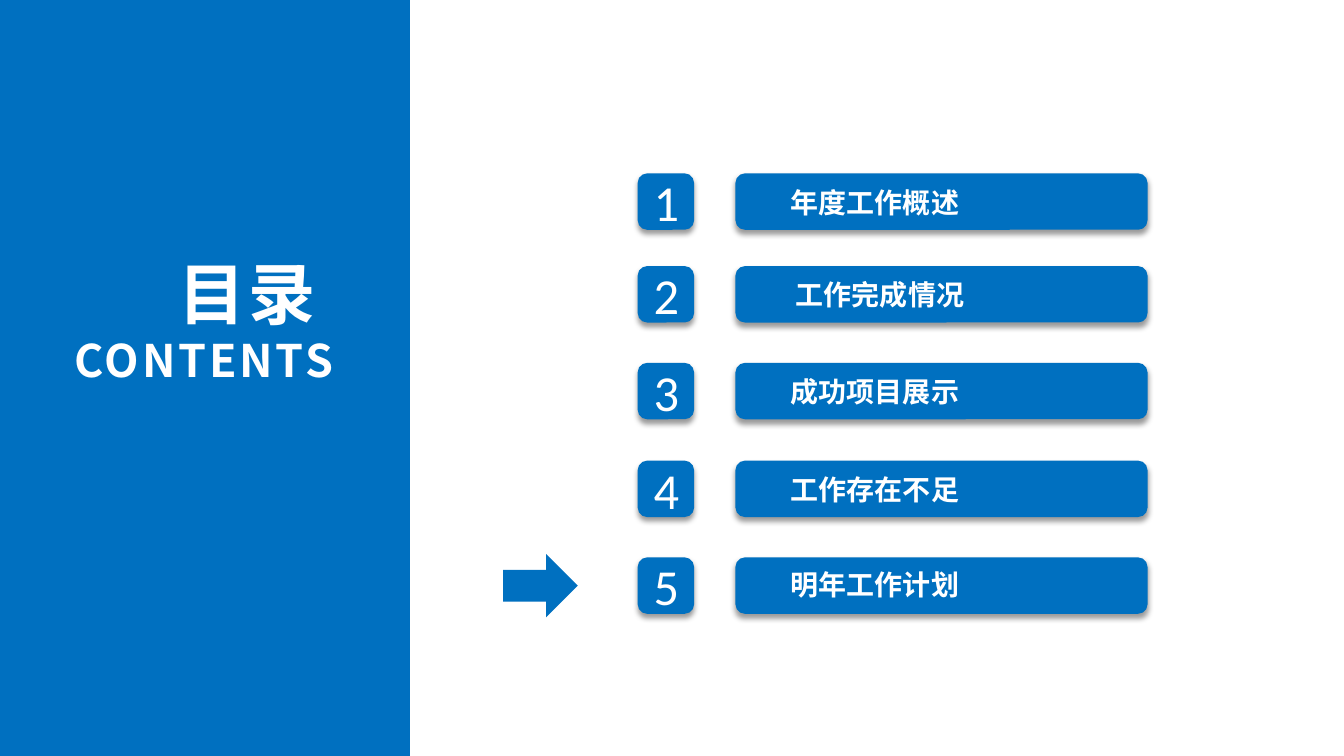
from lxml import etree
from pptx import Presentation
from pptx.dml.color import RGBColor
from pptx.enum.shapes import MSO_SHAPE as Shape
from pptx.enum.text import MSO_ANCHOR as Anchor, PP_ALIGN as Align
from pptx.oxml.ns import qn
from pptx.util import Inches, Pt

BLUE, WHITE, BLACK = "0070C0", "FFFFFF", "000000"
LATIN, CJK = "Calibri", "Noto Sans CJK SC"
WIDTH, HEIGHT = 13.34, 7.5

# heading text, size
HEADING = [("目录 ", 48), ("CONTENTS", 32)]
# row top, label, label offset from its bar (x, y)
CHAPTERS = [
    (1.72, "年度工作概述", 0.42, 0.05),
    (2.64, "工作完成情况", 0.47, 0.04),
    (3.60, "成功项目展示", 0.42, 0.05),
    (4.57, "工作存在不足", 0.42, 0.05),
    (5.53, "明年工作计划", 0.42, 0.03),
]
NUMBER_LEFT, BAR_LEFT = 6.33, 7.3
ROW_HEIGHT, BAR_WIDTH = 0.56, 4.09
LABEL_WIDTH, LABEL_HEIGHT = 2.95, 0.47


def color(value):
    return RGBColor.from_string(value)


def add_block(shapes, kind, left, top, width, height):
    block = shapes.add_shape(kind, *map(Inches, (left, top, width, height)))
    block.shadow.inherit = False
    block.fill.solid()
    block.fill.fore_color.rgb = color(BLUE)
    block.line.fill.background()
    return block


def add_raised_block(shapes, left, top, width, height):
    """Rounded block with a soft shadow below it."""
    block = add_block(shapes, Shape.ROUNDED_RECTANGLE, left, top, width, height)
    effects = block._element.spPr.find(qn("a:effectLst"))
    shadow = etree.SubElement(effects, qn("a:outerShdw"), blurRad=str(Pt(4)),
                              dist=str(Pt(3)), dir="5400000", algn="t", rotWithShape="0")
    tint = etree.SubElement(shadow, qn("a:srgbClr"), val=BLACK)
    etree.SubElement(tint, qn("a:alpha"), val="40000")
    return block


def set_margins(frame):
    frame.word_wrap = True
    frame.margin_left = frame.margin_right = Inches(0.13)
    frame.margin_top = frame.margin_bottom = Inches(0.07)


def add_text_box(shapes, left, top, width, height):
    box = shapes.add_textbox(*map(Inches, (left, top, width, height)))
    set_margins(box.text_frame)
    return box.text_frame


def write(para, text, size, face=CJK, bold=True, align=Align.LEFT, spacing=0):
    para.text = text
    para.alignment = align
    span = para.runs[0]
    span.font.size, span.font.bold, span.font.name = Pt(size), bold, face
    span.font.color.rgb = color(WHITE)
    props = span._r.get_or_add_rPr()
    etree.SubElement(props, qn("a:ea"), typeface=face)
    if spacing:
        props.set("spc", str(spacing * 100))


def add_chapter(page, number, top, label, shift_x, shift_y):
    square = add_raised_block(page.shapes, NUMBER_LEFT, top, ROW_HEIGHT, ROW_HEIGHT)
    frame = square.text_frame
    set_margins(frame)
    frame.vertical_anchor = Anchor.MIDDLE
    write(frame.paragraphs[0], str(number), 36, LATIN, False, Align.CENTER)

    group = page.shapes.add_group_shape()
    add_raised_block(group.shapes, BAR_LEFT, top, BAR_WIDTH, ROW_HEIGHT)
    frame = add_text_box(group.shapes, BAR_LEFT + shift_x, top + shift_y,
                         LABEL_WIDTH, LABEL_HEIGHT)
    write(frame.paragraphs[0], label, 20)


def main():
    deck = Presentation()
    deck.slide_width, deck.slide_height = Inches(WIDTH), Inches(HEIGHT)
    page = deck.slides.add_slide(deck.slide_layouts[6])

    add_block(page.shapes, Shape.RECTANGLE, 0, 0, 4.07, HEIGHT)
    for number, chapter in enumerate(CHAPTERS, 1):
        add_chapter(page, number, *chapter)

    frame = add_text_box(page.shapes, 0.37, 2.43, 3.07, 1.48)
    for index, (text, size) in enumerate(HEADING):
        para = frame.add_paragraph() if index else frame.paragraphs[0]
        write(para, text, size, align=Align.RIGHT, spacing=2)

    arrow = add_block(page.shapes, Shape.DOWN_ARROW, 5.05, 5.44, 0.63, 0.74)
    arrow.rotation = 270
    deck.save("out.pptx")


if __name__ == "__main__":
    main()
